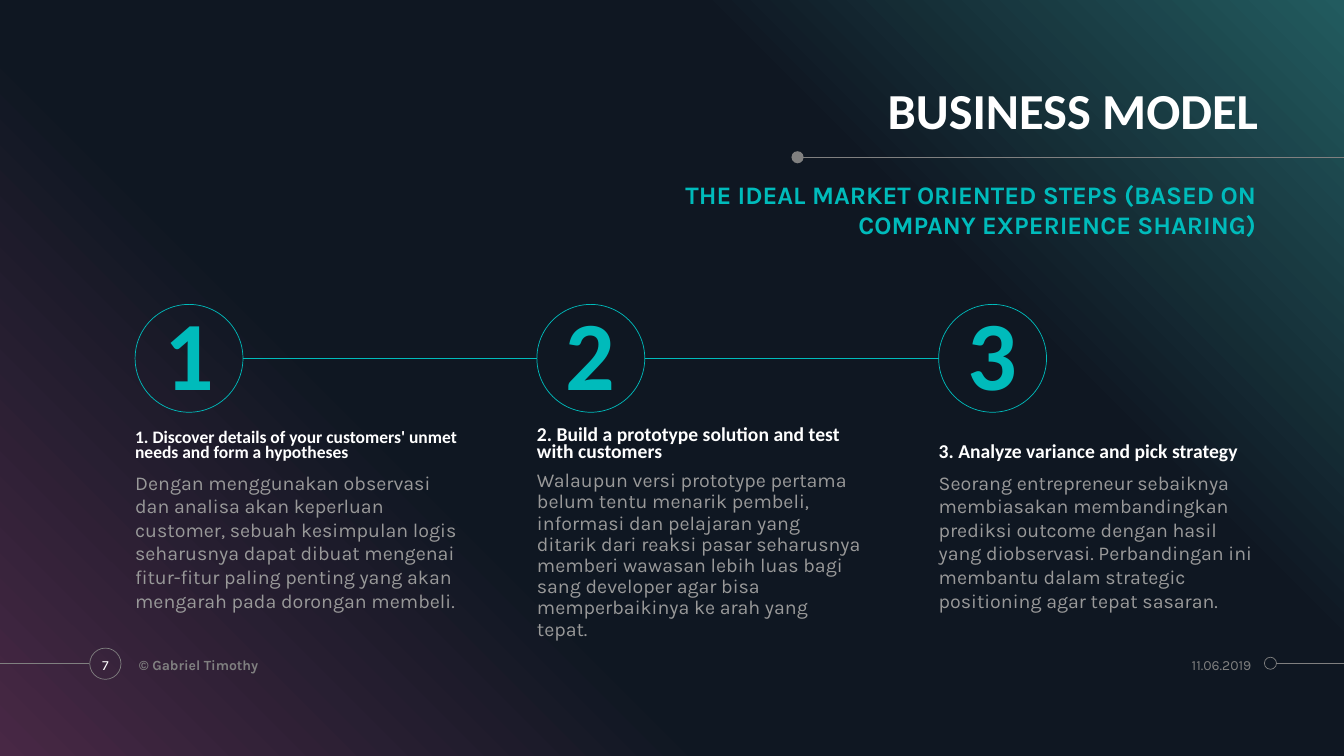
from dataclasses import dataclass
from lxml.etree import SubElement
from pptx import Presentation
from pptx.dml.color import RGBColor as RGB
from pptx.enum.shapes import MSO_CONNECTOR as LINK, MSO_SHAPE as SHAPE
from pptx.enum.text import MSO_ANCHOR as ANCHOR, PP_ALIGN as ALIGN
from pptx.oxml.ns import qn
from pptx.util import Inches, Pt


@dataclass(frozen=True)
class Theme:
    white: str = "FFFFFF"
    teal: str = "00BBBB"
    gray: str = "808080"
    pale: str = "999999"
    ramp: tuple = ((0, "482845"), (34, "0F1722"), (69, "0F1722"), (100, "225B5F"))
    head: str = "Calibri"
    body: str = "Karla"
    title: float = 36
    lead: float = 18
    digit: float = 70
    text: float = 14
    small: float = 12.5
    foot: float = 10
    rule: float = 0.5


theme = Theme()
deck = Presentation()
deck.slide_width, deck.slide_height = Inches(13.33), Inches(7.5)
slide = deck.slides.add_slide(deck.slide_layouts[6])
shapes = slide.shapes


def write(shape, words, font, size, color, bold=False, align=ALIGN.LEFT,
          anchor=ANCHOR.TOP, space=1.0, before=0, pad=0):
    frame = shape.text_frame
    frame.text = words
    frame.word_wrap = True
    frame.vertical_anchor = anchor
    frame.margin_left = frame.margin_right = Inches(pad)
    frame.margin_top = frame.margin_bottom = 0
    para = frame.paragraphs[0]
    para.alignment, para.line_spacing = align, space
    para.space_before = Pt(before)
    face = para.runs[0].font
    face.name, face.size, face.bold = font, Pt(size), bold
    face.color.rgb = RGB.from_string(color)


def ring(x, y, size, color, solid=False):
    oval = shapes.add_shape(SHAPE.OVAL, Inches(x), Inches(y), Inches(size), Inches(size))
    oval.shadow.inherit = False
    if solid:
        oval.fill.solid()
        oval.fill.fore_color.rgb = RGB.from_string(color)
        oval.line.fill.background()
    else:
        oval.fill.background()
        oval.line.color.rgb = RGB.from_string(color)
        oval.line.width = Pt(theme.rule)
    return oval


# Gradient backdrop
back = shapes.add_shape(SHAPE.RECTANGLE, 0, 0, deck.slide_width, deck.slide_height)
back.shadow.inherit = False
back.line.fill.background()
back.fill.gradient()
back.fill.gradient_angle = 45
stops = back._element.spPr.find(".//" + qn("a:gsLst"))
stops.clear()
for spot, color in theme.ramp:
    stop = SubElement(stops, qn("a:gs"), pos=str(spot * 1000))
    SubElement(stop, qn("a:srgbClr"), val=color)

# Step columns: left edges and circle geometry
left, pitch, size, top = 1.34, 3.985, 1.07, 3.02
edges = [left + pitch * i for i in range(3)]
mid = 3.56

# Thin lines: header, footer, links between steps
lines = [(7.94, 1.56, 13.33, theme.gray), (12.66, 6.58, 13.33, theme.gray),
         (0, 6.58, 0.88, theme.gray)]
lines += [(a + size, mid, b, theme.teal) for a, b in zip(edges, edges[1:])]
for start, y, end, color in lines:
    link = shapes.add_connector(LINK.STRAIGHT, Inches(start), Inches(y), Inches(end), Inches(y))
    link.line.color.rgb = RGB.from_string(color)
    link.line.width = Pt(theme.rule)
    SubElement(link._element.spPr, qn("a:effectLst"))

# Line ends and page number ring
ring(7.85, 1.5, 0.12, theme.gray, solid=True)
ring(12.54, 6.52, 0.12, theme.gray)
ring(0.89, 6.43, 0.31, theme.gray)

# Title and subtitle
box = shapes.add_textbox(Inches(5.58), Inches(0.77), Inches(6.9), Inches(0.62))
write(box, "BUSINESS MODEL", theme.head, theme.title, theme.white, True,
      ALIGN.RIGHT, ANCHOR.BOTTOM, 0.9)
box = shapes.add_textbox(Inches(5.58), Inches(1.78), Inches(6.88), Inches(0.62))
write(box, "THE IDEAL MARKET ORIENTED STEPS (BASED ON COMPANY EXPERIENCE SHARING)",
      theme.body, theme.lead, theme.teal, True, ALIGN.RIGHT, before=10)

# Steps: heading, heading size, description, line spacing
steps = [
    ("1. Discover details of your customers' unmet needs and form a hypotheses", theme.small,
     "Dengan menggunakan observasi dan analisa akan keperluan customer, sebuah kesimpulan "
     "logis seharusnya dapat dibuat mengenai fitur-fitur paling penting yang akan mengarah "
     "pada dorongan membeli.", 1.0),
    ("2. Build a prototype solution and test with customers", theme.text,
     "Walaupun versi prototype pertama belum tentu menarik pembeli, informasi dan pelajaran "
     "yang ditarik dari reaksi pasar seharusnya memberi wawasan lebih luas bagi sang "
     "developer agar bisa memperbaikinya ke arah yang tepat.", 0.9),
    ("3. Analyze variance and pick strategy", theme.text,
     "Seorang entrepreneur sebaiknya membiasakan membandingkan prediksi outcome dengan hasil "
     "yang diobservasi. Perbandingan ini membantu dalam strategic positioning agar tepat "
     "sasaran.", 1.0),
]
for num, (x, (name, points, about, space)) in enumerate(zip(edges, steps), 1):
    write(ring(x, top, size, theme.teal), str(num), theme.head, theme.digit, theme.teal,
          True, ALIGN.CENTER, ANCHOR.MIDDLE, 0.9, 10)
    box = shapes.add_textbox(Inches(x), Inches(4.22), Inches(3.22), Inches(0.36))
    write(box, name, theme.head, points, theme.white, True,
          anchor=ANCHOR.BOTTOM, space=0.7, before=6)
    box = shapes.add_textbox(Inches(x), Inches(4.67), Inches(3.22), Inches(1.55))
    write(box, about, theme.body, theme.text, theme.pale, space=space, before=6)

# Footer
notes = [
    (0.85, 0.39, "7", theme.white, False, ALIGN.CENTER, 0.1),
    (1.28, 3.19, "© Gabriel Timothy", theme.gray, True, ALIGN.LEFT, 0.1),
    (10.95, 1.46, "11.06.2019", theme.gray, False, ALIGN.RIGHT, 0),
]
for x, width, words, color, bold, align, pad in notes:
    box = shapes.add_textbox(Inches(x), Inches(6.43), Inches(width), Inches(0.33))
    write(box, words, theme.body, theme.foot, color, bold, align, ANCHOR.MIDDLE, pad=pad)

deck.save("out.pptx")
